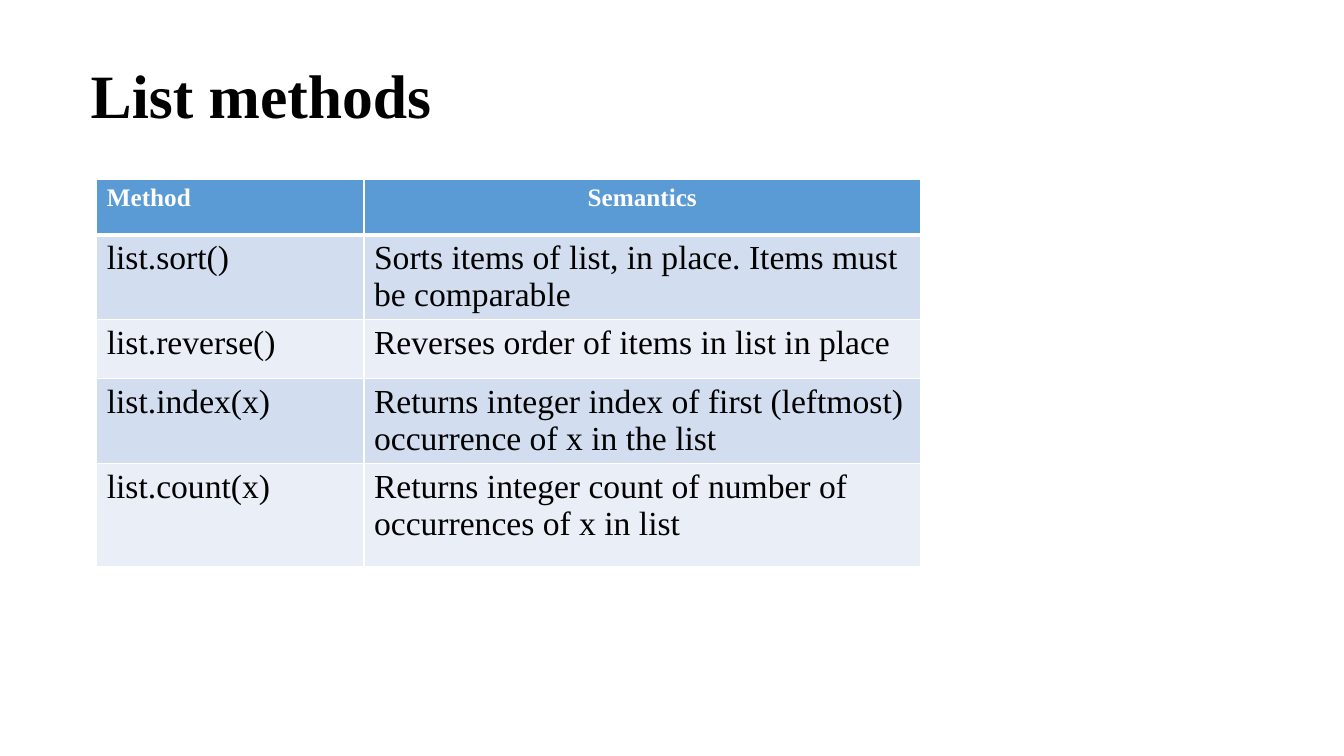
from lxml import etree
from pptx import Presentation, util as u
from pptx.dml.color import RGBColor
from pptx.enum import text
from pptx.oxml import ns

PX = 9144  # EMU per px, 100 px to the inch
FONT = "Times New Roman"
BLACK = RGBColor(0x00, 0x00, 0x00)
WHITE = RGBColor(0xFF, 0xFF, 0xFF)
HEADER_BLUE = RGBColor(0x5B, 0x9B, 0xD5)
BANDS = (RGBColor(0xD2, 0xDE, 0xEF), RGBColor(0xEA, 0xEF, 0xF7))

COLUMNS = (265, 552)
ROWS = (
    (55, "Method", "Semantics"),
    (80, "list.sort()", "Sorts items of list, in place. Items must be comparable"),
    (59, "list.reverse()", "Reverses order of items in list in place"),
    (80, "list.index(x)", "Returns integer index of first (leftmost) occurrence of x in the list"),
    (103, "list.count(x)", "Returns integer count of number of occurrences of x in list"),
)


def format_text(para, size, color, bold):
    for span in para.runs:
        span.font.name = FONT
        span.font.size = u.Pt(size)
        span.font.bold = bold
        span.font.color.rgb = color


def set_borders(cell, top, bottom):
    """Draw white borders; the widths of top and bottom are in points."""
    properties = cell._tc.get_or_add_tcPr()
    sides = (("lnL", 1), ("lnR", 1), ("lnT", top), ("lnB", bottom))
    for position, (side, width) in enumerate(sides):
        line = etree.Element(ns.qn(f"a:{side}"), w=str(u.Pt(width)))
        fill = etree.SubElement(line, ns.qn("a:solidFill"))
        etree.SubElement(fill, ns.qn("a:srgbClr"), val=str(WHITE))
        properties.insert(position, line)


def add_title(page, left, top, width, height):
    title = page.shapes.title
    title.left, title.top = left * PX, top * PX
    title.width, title.height = width * PX, height * PX
    frame = title.text_frame
    frame.text = "List methods"
    frame.word_wrap = True
    frame.vertical_anchor = text.MSO_ANCHOR.MIDDLE
    para = frame.paragraphs[0]
    para.alignment = text.PP_ALIGN.LEFT
    para.line_spacing = 0.9
    format_text(para, 44, BLACK, True)


def add_methods_table(page, left, top):
    height = sum(row[0] for row in ROWS)
    table = page.shapes.add_table(
        len(ROWS), len(COLUMNS), left * PX, top * PX, sum(COLUMNS) * PX, height * PX
    ).table
    for column, width in zip(table.columns, COLUMNS):
        column.width = width * PX
    for row_index, (row_height, *entries) in enumerate(ROWS):
        table.rows[row_index].height = row_height * PX
        is_header = row_index == 0
        for column_index, entry in enumerate(entries):
            cell = table.cell(row_index, column_index)
            cell.text_frame.text = entry
            para = cell.text_frame.paragraphs[0]
            cell.fill.solid()
            if is_header:
                cell.fill.fore_color.rgb = HEADER_BLUE
                format_text(para, 18, WHITE, True)
                if column_index == 1:
                    para.alignment = text.PP_ALIGN.CENTER
            else:
                cell.fill.fore_color.rgb = BANDS[(row_index - 1) % 2]
                format_text(para, 24, BLACK, False)
            # A thick rule parts the header from the methods
            set_borders(cell, 3 if row_index == 1 else 1, 3 if is_header else 1)


def main():
    deck = Presentation()
    deck.slide_width, deck.slide_height = 1333 * PX, 750 * PX
    page = deck.slides.add_slide(deck.slide_layouts[5])
    add_title(page, 80, 25, 1150, 145)
    add_methods_table(page, 96, 178)
    deck.save("out.pptx")


if __name__ == "__main__":
    main()
